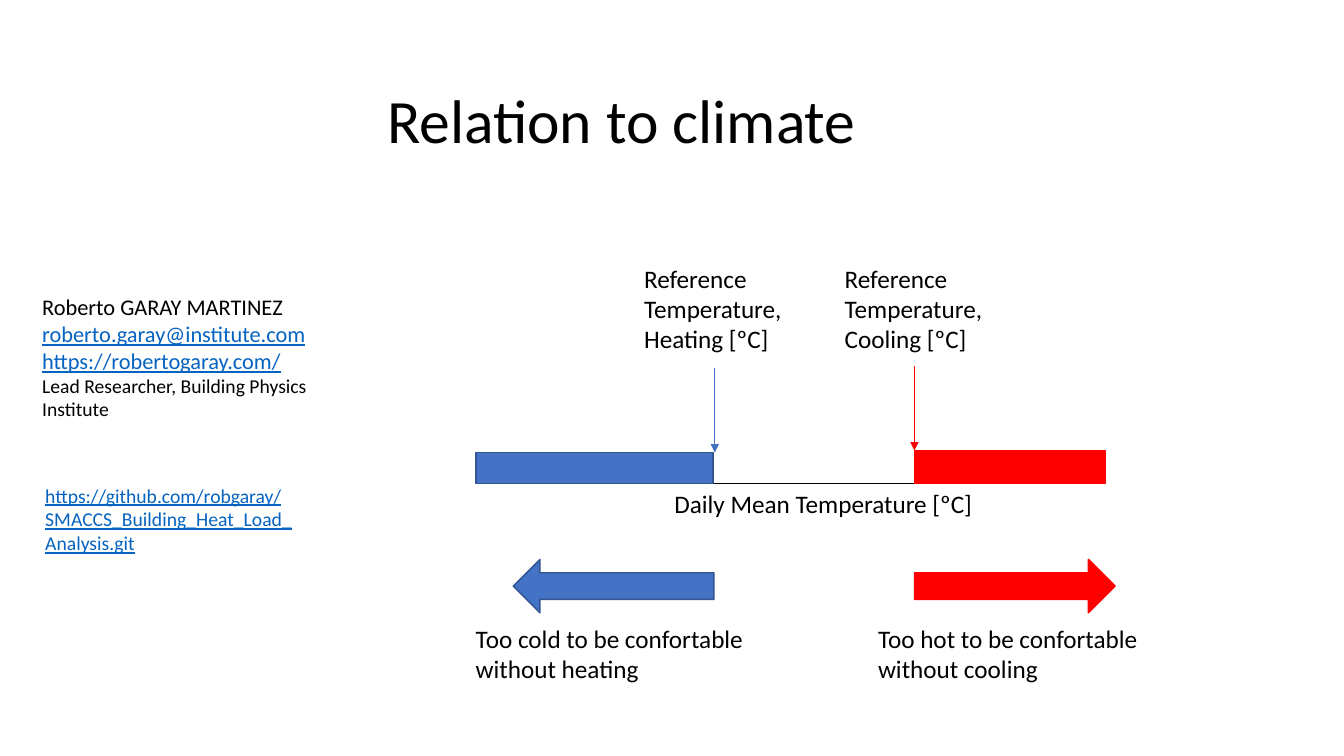
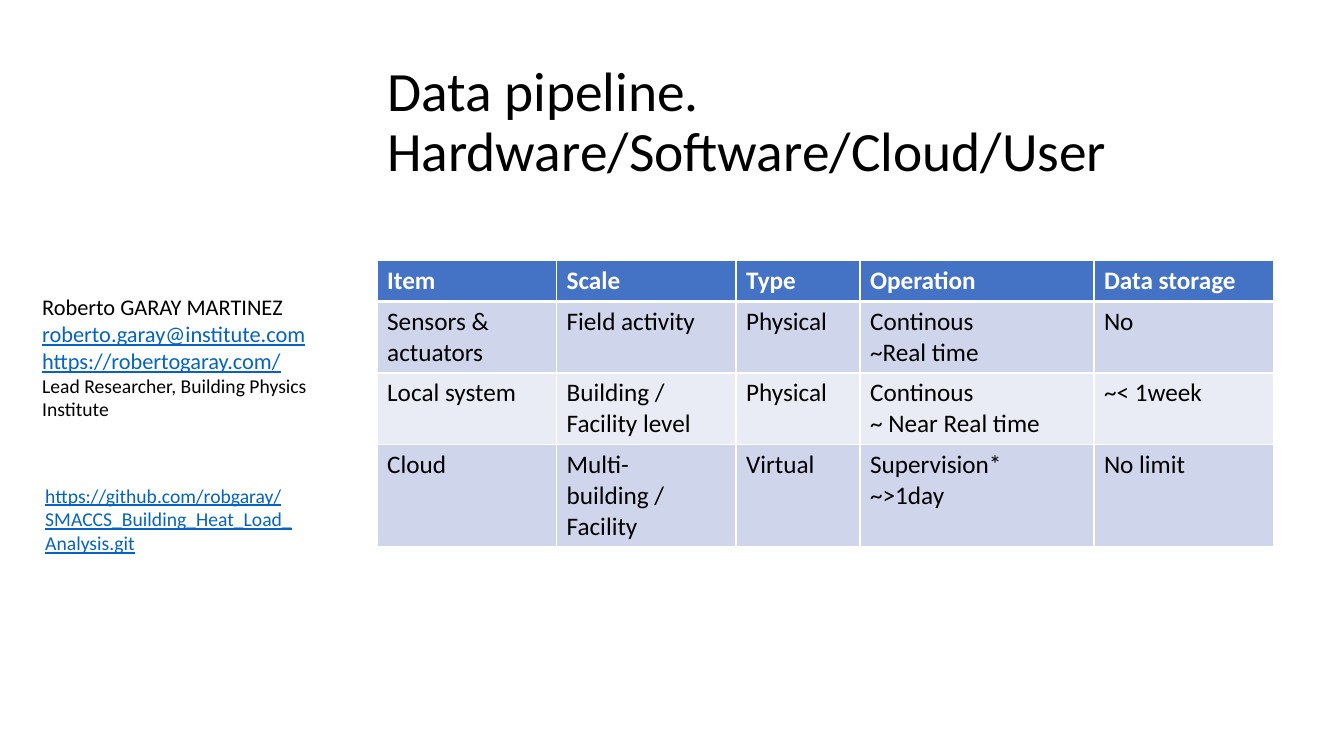
from dataclasses import dataclass

from lxml import etree
from pptx import Presentation
from pptx.dml.color import RGBColor
from pptx.enum.shapes import MSO_CONNECTOR, MSO_SHAPE
from pptx.enum.text import MSO_ANCHOR
from pptx.oxml.ns import qn
from pptx.util import Emu, Pt

EMU_PER_PX = 9144  # 100 px to the inch


@dataclass(frozen=True)
class Theme:
    font: str = "Calibri"
    black: str = "000000"
    white: str = "FFFFFF"
    blue: str = "4472C4"
    dark_blue: str = "325491"
    red: str = "FF0000"
    link: str = "0563C1"
    bands: tuple = ("CFD5EA", "E9EBF5")
    title: float = 44
    small_title: float = 39.6
    body: float = 18
    contact: float = 16
    detail: float = 14
    thin: float = 0.5
    outline: float = 1
    header_rule: float = 3


THEME = Theme()


def px(length):
    return Emu(length * EMU_PER_PX)


def rgb(color):
    return RGBColor.from_string(color)


class Deck:
    """Holds the presentation, its style and the current page."""

    def __init__(self, theme):
        self.theme = theme
        self.deck = Presentation()
        self.deck.slide_width, self.deck.slide_height = px(1333), px(750)
        self.page = None

    def style(self, para, size, color, underline=None, bold=None):
        font = para.font
        font.name, font.size = self.theme.font, Pt(size)
        font.color.rgb = rgb(color)
        font.underline, font.bold = underline, bold

    def start_page(self, title, size):
        """Adds a page with the contact column and a title."""
        theme = self.theme
        self.page = self.deck.slides.add_slide(self.deck.slide_layouts[6])
        self.text(32, 286, 285, 138, [
            ("Roberto GARAY MARTINEZ", theme.contact, False),
            ("roberto.garay@institute.com", theme.contact, True),
            ("https://robertogaray.com/", theme.contact, True),
            ("Lead Researcher, Building Physics", theme.detail, False),
            ("Institute", theme.detail, False),
        ], wrap=False)
        repository = ("https://github.com/robgaray/", "SMACCS_Building_Heat_Load_", "Analysis.git")
        self.text(35, 475, 308, 81, [(line, theme.detail, True) for line in repository])
        frame = self.text(374, 61, 868, 124, [(title, size, False)]).text_frame
        frame.vertical_anchor = MSO_ANCHOR.MIDDLE
        frame.paragraphs[0].line_spacing = 0.9

    def text(self, left, top, width, height, lines, wrap=True):
        """Each line is (wording, size, is_link)."""
        box = self.page.shapes.add_textbox(px(left), px(top), px(width), px(height))
        frame = box.text_frame
        frame.word_wrap = wrap
        frame.text = "\n".join(wording for wording, _, _ in lines)
        for para, (_, size, is_link) in zip(frame.paragraphs, lines):
            self.style(para, size, self.theme.link if is_link else self.theme.black, is_link)
        return box

    def label(self, left, top, width, height, wording, wrap=True):
        self.text(left, top, width, height, [(wording, self.theme.body, False)], wrap)

    def shape(self, kind, left, top, width, height, fill, line):
        shape = self.page.shapes.add_shape(kind, px(left), px(top), px(width), px(height))
        shape.shadow.inherit = False
        shape.fill.solid()
        shape.fill.fore_color.rgb = rgb(fill)
        shape.line.color.rgb = rgb(line)
        shape.line.width = Pt(self.theme.outline)

    def line(self, start, end, color, arrow=False):
        line = self.page.shapes.add_connector(
            MSO_CONNECTOR.STRAIGHT, *(px(value) for value in start + end))
        line.line.color.rgb = rgb(color)
        line.line.width = Pt(self.theme.thin)
        properties = line.element.spPr
        if arrow:
            etree.SubElement(properties.find(qn("a:ln")), qn("a:tailEnd"), type="triangle")
        etree.SubElement(properties, qn("a:effectLst"))

    def border(self, cell, bottom):
        """Draws white edges; they come before the fill in the XML."""
        properties = cell._tc.get_or_add_tcPr()
        widths = (("L", 1), ("R", 1), ("T", 1), ("B", bottom))
        for index, (side, width) in enumerate(widths):
            edge = etree.Element(qn("a:ln" + side), w=str(Pt(width)))
            fill = etree.SubElement(edge, qn("a:solidFill"))
            etree.SubElement(fill, qn("a:srgbClr"), val=self.theme.white)
            properties.insert(index, edge)

    def table(self, left, top, widths, heights, rows):
        theme = self.theme
        table = self.page.shapes.add_table(
            len(rows), len(widths), px(left), px(top), px(sum(widths)), px(sum(heights))).table
        for column, width in zip(table.columns, widths):
            column.width = px(width)
        for row, height in zip(table.rows, heights):
            row.height = px(height)
        for number, wordings in enumerate(rows):
            header = number == 0
            for column, wording in enumerate(wordings):
                cell = table.cell(number, column)
                cell.text = wording
                cell.fill.solid()
                cell.fill.fore_color.rgb = rgb(theme.blue if header else theme.bands[(number - 1) % 2])
                self.border(cell, theme.header_rule if header else theme.outline)
                for para in cell.text_frame.paragraphs:
                    self.style(para, theme.body, theme.white if header else theme.black, bold=header)


def climate_page(deck):
    theme = deck.theme
    deck.start_page("Relation to climate", theme.title)

    # Temperature axis with its cold and hot ranges
    axis = 480
    deck.line((472, axis), (1096, axis), theme.black)
    deck.shape(MSO_SHAPE.RECTANGLE, 472, 449, 235, 31, theme.blue, theme.dark_blue)
    deck.shape(MSO_SHAPE.RECTANGLE, 907, 447, 189, 33, theme.red, theme.red)
    deck.label(659, axis, 319, 40, "Daily Mean Temperature [ºC]", wrap=False)

    # Per side: mode, label left, pointer x, pointer top, colours, arrow, arrow left, note left, feeling
    sides = (
        ("Heating", 629, 709, 365, theme.blue, theme.dark_blue, MSO_SHAPE.LEFT_ARROW, 509, 462, "cold"),
        ("Cooling", 828, 907, 363, theme.red, theme.red, MSO_SHAPE.RIGHT_ARROW, 907, 861, "hot"),
    )
    for mode, label_left, x, top, fill, line, arrow, arrow_left, note_left, feeling in sides:
        deck.label(label_left, 256, 160, 101, f"Reference Temperature, {mode} [ºC]")
        deck.line((x, top), (x, top + 84), fill, arrow=True)
        deck.shape(arrow, arrow_left, 555, 199, 53, fill, line)
        deck.label(note_left, 613, 291, 71,
                   f"Too {feeling} to be confortable without {mode.lower()}")


def pipeline_page(deck):
    deck.start_page("Data pipeline. Hardware/Software/Cloud/User", deck.theme.small_title)
    deck.table(374, 258, (178, 178, 123, 232, 178), (41, 71, 71, 101), (
        ("Item", "Scale", "Type", "Operation", "Data storage"),
        ("Sensors & actuators", "Field activity", "Physical", "Continous\n~Real time", "No"),
        ("Local system", "Building / Facility level", "Physical",
         "Continous\n~ Near Real time", "~< 1week"),
        ("Cloud", "Multi-building / Facility", "Virtual", "Supervision*\n~>1day", "No limit"),
    ))


def main():
    deck = Deck(THEME)
    climate_page(deck)
    pipeline_page(deck)
    deck.deck.save("out.pptx")


if __name__ == "__main__":
    main()
